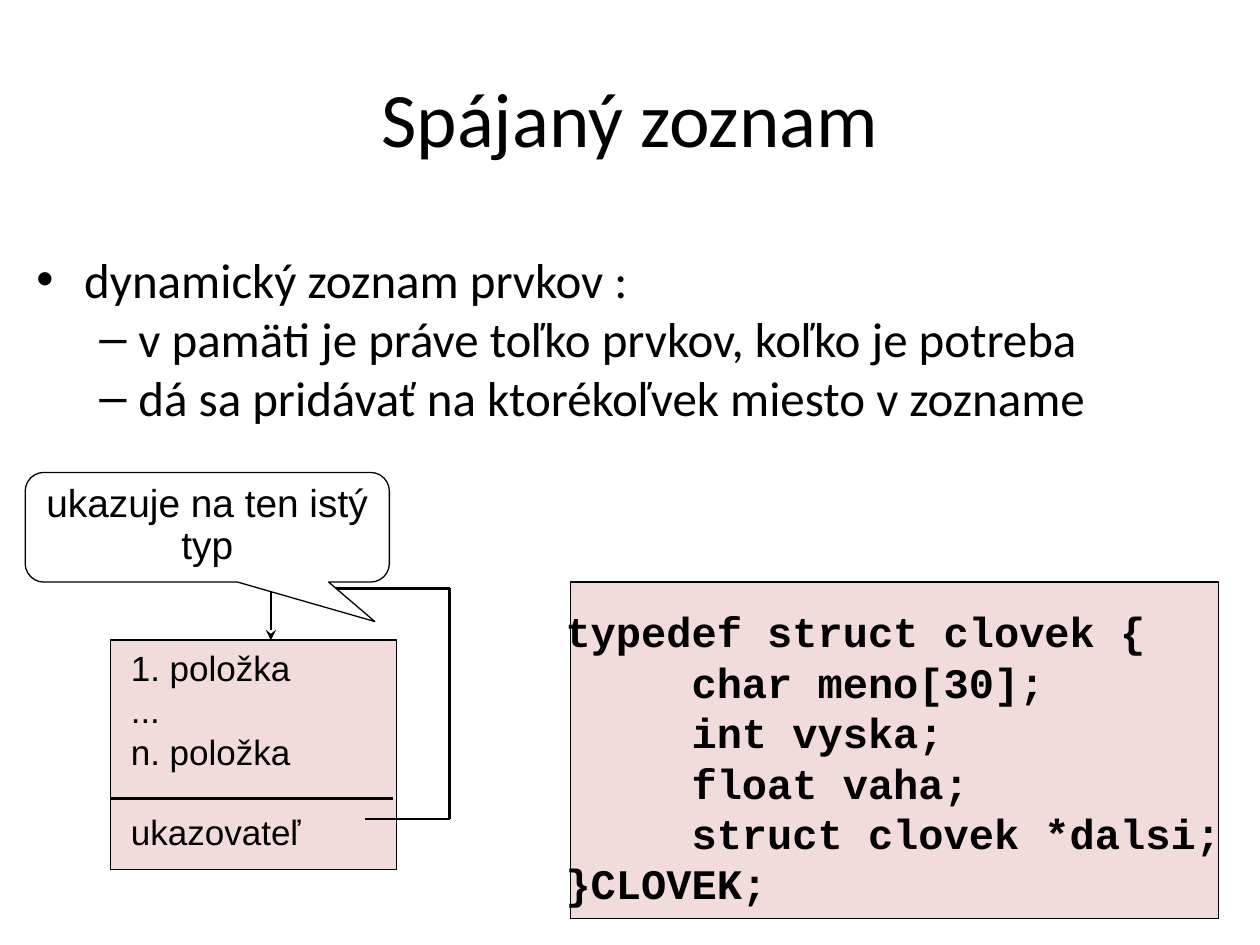
from lxml.etree import SubElement
from pptx import Presentation
from pptx.dml.color import RGBColor
from pptx.enum.shapes import MSO_CONNECTOR as Connector, MSO_SHAPE as Shape
from pptx.enum.text import MSO_ANCHOR as Anchor, PP_ALIGN as Align
from pptx.oxml.ns import qn
from pptx.util import Inches, Pt

BLACK, PINK, WHITE = "000000", "F2DCDB", "FFFFFF"


def paint(color_format, color):
    color_format.rgb = RGBColor.from_string(color)


def write(frame, lines, font, size, bold=False, align=Align.LEFT):
    frame.word_wrap = True
    frame.text = "\n".join(lines)
    for paragraph in frame.paragraphs:
        paragraph.alignment = align
        for run in paragraph.runs:
            run.font.name, run.font.size, run.font.bold = font, Pt(size), bold
            paint(run.font.color, BLACK)


prs = Presentation()
prs.slide_width, prs.slide_height = Inches(10), Inches(7.5)
shapes = prs.slides.add_slide(prs.slide_layouts[6]).shapes

# Title
title = shapes.add_textbox(Inches(0.5), Inches(0.3), Inches(9), Inches(1.25)).text_frame
write(title, ["Spájaný zoznam"], "Calibri", 44, align=Align.CENTER)
title.vertical_anchor = Anchor.MIDDLE

# Properties of the list: bullet, left margin and hanging indent per level
levels = [("•", 0.38, 0.38), ("–", 0.81, 0.31)]
properties = [
    (0, "dynamický zoznam prvkov :"),
    (1, "v pamäti je práve toľko prvkov, koľko je potreba"),
    (1, "dá sa pridávať na ktorékoľvek miesto v zozname"),
]
body = shapes.add_textbox(Inches(0.19), Inches(2.02), Inches(9.61), Inches(1.5)).text_frame
write(body, [text for _, text in properties], "Calibri", 28)
for index, (paragraph, (level, _)) in enumerate(zip(body.paragraphs, properties)):
    bullet, margin, hanging = levels[level]
    paragraph.level = level
    paragraph.line_spacing = 0.8
    if index:
        paragraph.space_before = Pt(7)
    pPr = paragraph._p.get_or_add_pPr()
    pPr.set("marL", str(Inches(margin)))
    pPr.set("indent", str(-Inches(hanging)))
    SubElement(pPr, qn("a:buFont")).set("typeface", "Arial")
    SubElement(pPr, qn("a:buChar")).set("char", bullet)

# Panels behind the code and the list item
for left, top, width, height in [(4.53, 4.62, 5.14, 2.67), (0.88, 5.08, 2.27, 1.82)]:
    panel = shapes.add_shape(Shape.RECTANGLE, Inches(left), Inches(top),
                             Inches(width), Inches(height))
    panel.shadow.inherit = False
    panel.fill.solid()
    paint(panel.fill.fore_color, PINK)
    paint(panel.line.color, BLACK)
    panel.line.width = Pt(0.75)

# Struct definition
code = shapes.add_textbox(Inches(4.39), Inches(4.76), Inches(5.54), Inches(2.5)).text_frame
write(code, [
    "typedef struct clovek {",
    "     char meno[30];",
    "     int vyska;",
    "     float vaha;",
    "     struct clovek *dalsi;",
    "}CLOVEK;",
], "Courier New", 24, bold=True)

# Contents of the list item
fields = shapes.add_textbox(Inches(0.94), Inches(5.08), Inches(1.6), Inches(1.1)).text_frame
write(fields, ["1. položka", "...", "n. položka"], "Arial", 20)
pointer = shapes.add_textbox(Inches(0.94), Inches(6.38), Inches(1.6), Inches(0.44)).text_frame
write(pointer, ["ukazovateľ"], "Arial", 20)

# Divider, then the pointer's route back to the top of the item
divider = [(0.88, 6.34), (3.12, 6.34)]
route = [(2.9, 6.5), (3.57, 6.5), (3.57, 4.67), (2.15, 4.67), (2.15, 5.08)]
for start, end in [divider, *zip(route, route[1:])]:
    segment = shapes.add_connector(Connector.STRAIGHT, Inches(start[0]), Inches(start[1]),
                                   Inches(end[0]), Inches(end[1]))
    paint(segment.line.color, BLACK)
    segment.line.width = Pt(1.5)
    SubElement(segment._element.spPr, qn("a:effectLst"))
SubElement(segment.line._get_or_add_ln(), qn("a:tailEnd")).set("type", "stealth")

# Callout on the pointer
callout = shapes.add_shape(Shape.ROUNDED_RECTANGULAR_CALLOUT, Inches(0.2), Inches(3.75),
                           Inches(2.89), Inches(0.87))
callout.shadow.inherit = False
for index, value in enumerate([0.46, 0.86, 0.17]):
    callout.adjustments[index] = value
callout.fill.solid()
paint(callout.fill.fore_color, WHITE)
paint(callout.line.color, BLACK)
callout.line.width = Pt(0.75)
write(callout.text_frame, ["ukazuje na ten istý typ"], "Arial", 22.2, align=Align.CENTER)
callout.text_frame.vertical_anchor = Anchor.TOP
callout.text_frame.paragraphs[0].line_spacing = 0.9

prs.save("out.pptx")
